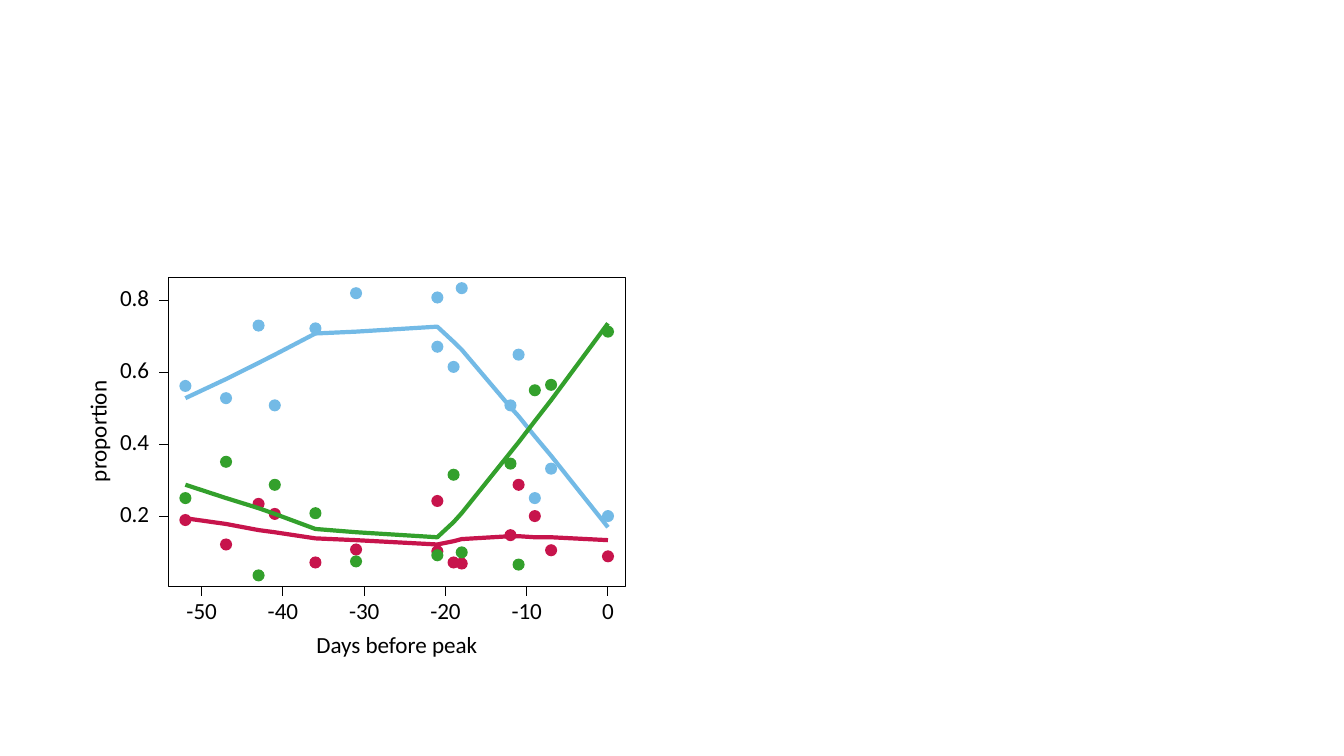
from dataclasses import dataclass
from typing import Optional

from lxml.etree import SubElement
from pptx import Presentation
from pptx.dml.color import RGBColor
from pptx.enum.shapes import MSO_CONNECTOR as Connector
from pptx.enum.shapes import MSO_SHAPE as Shape
from pptx.enum.text import MSO_ANCHOR as Anchor
from pptx.enum.text import PP_ALIGN as Align
from pptx.oxml.ns import qn
from pptx.util import Inches, Pt

COLORS = {"blue": "73BAE6", "red": "C7144C", "green": "33A02C", "ink": "000000"}
FONT, TEXT_SIZE = "Calibri", 16.5
DOT, TICK, THIN, THICK = 0.12, 0.09, 0.75, 3
SAMPLE_DAYS = [-52, -47, -43, -41, -36, -31, -21, -21, -19, -18, -12, -11, -9, -7, 0]
CURVE_DAYS = sorted(set(SAMPLE_DAYS))


@dataclass
class Box:
    left: float
    top: float
    width: float
    height: float

    @property
    def bottom(self) -> float:
        return self.top + self.height

    def inches(self) -> list[Inches]:
        return [Inches(v) for v in (self.left, self.top, self.width, self.height)]


@dataclass
class Scale:
    """Places values on the slide from two known ticks."""
    low: float
    low_at: float
    high: float
    high_at: float

    def at(self, value: float) -> float:
        share = (value - self.low) / (self.high - self.low)
        return self.low_at + share * (self.high_at - self.low_at)


@dataclass
class Group:
    """Proportions in percent, by day."""
    color: str
    samples: list[Optional[float]]
    curve: list[float]


PLOT = Box(1.67, 2.75, 4.53, 3.07)
DAYS = Scale(-50, 2, 0, 6.03)
PERCENT = Scale(20, 5.12, 80, 2.98)

GROUPS = [
    Group("blue",
          [56.2, 52.8, 73, 50.8, 72.2, 82, 67.1, 80.8, 61.5, 83.4, 50.8, 64.9, 25, 33.2, 20],
          [52.8, 58.1, 62.6, 64.9, 70.8, 71.3, 72.7, 68.5, 66.3, 50.3, 47.8, 42.2, 36.8, 16.9]),
    Group("red",
          [18.9, 12.1, 23.4, 20.6, 7.1, 10.7, 24.2, 10.2, 7.1, 6.8, 14.7, 28.7, 20, 10.5, 8.8],
          [19.4, 17.8, 16.1, 15.5, 13.8, 13.3, 12.1, 13, 13.6, 14.4, 14.4, 14.1, 14.1, 13.3]),
    Group("green",
          [25, 35.1, 3.5, 28.7, 20.8, 7.4, 9.1, None, 31.5, 9.9, 34.6, 6.5, 55, 56.5, 71.3],
          [28.7, 25, 22.2, 20.6, 16.4, 15.5, 14.1, 18.3, 20.8, 37.7, 40.5, 46.4, 52.2, 73.6]),
]


def rgb(name: str) -> RGBColor:
    return RGBColor.from_string(COLORS[name])


def add_line(s, x1: float, y1: float, x2: float, y2: float) -> None:
    line = s.shapes.add_connector(Connector.STRAIGHT, *map(Inches, (x1, y1, x2, y2)))
    line.line.color.rgb = rgb("ink")
    line.line.width = Pt(THIN)
    SubElement(line._element.spPr, qn("a:effectLst"))


def add_outline(s, points: list[tuple[float, float]], color: str, width: float,
                close: bool = False) -> None:
    emu = [(Inches(x), Inches(y)) for x, y in points]
    builder = s.shapes.build_freeform(*emu[0])
    builder.add_line_segments(emu[1:], close=close)
    sp = builder.convert_to_shape()
    sp.shadow.inherit = False
    sp.fill.background()
    sp.line.color.rgb = rgb(color)
    sp.line.width = Pt(width)


def add_dot(s, x: float, y: float, color: str) -> None:
    box = Box(x - DOT / 2, y - DOT / 2, DOT, DOT)
    sp = s.shapes.add_shape(Shape.OVAL, *box.inches())
    sp.shadow.inherit = False
    sp.fill.solid()
    sp.fill.fore_color.rgb = rgb(color)
    sp.line.fill.background()


def add_label(s, text: str, box: Box, turn: float = 0) -> None:
    sp = s.shapes.add_textbox(*box.inches())
    sp.rotation = turn
    tf = sp.text_frame
    tf.word_wrap = False
    tf.vertical_anchor = Anchor.MIDDLE
    tf.margin_left = tf.margin_right = tf.margin_top = tf.margin_bottom = 0
    p = tf.paragraphs[0]
    p.alignment = Align.CENTER
    p.line_spacing = Pt(TEXT_SIZE)
    r = p.add_run()
    r.text = text
    r.font.name, r.font.size = FONT, Pt(TEXT_SIZE)
    r.font.color.rgb = rgb("ink")


def add_axes(s) -> None:
    # Days along the bottom
    add_line(s, DAYS.at(-50), PLOT.bottom, DAYS.at(0), PLOT.bottom)
    for day in range(-50, 1, 10):
        x, text = DAYS.at(day), str(day)
        width = 0.1 * len(text) + 0.02
        add_line(s, x, PLOT.bottom, x, PLOT.bottom + TICK)
        add_label(s, text, Box(x - width / 2, 6, width, 0.15))

    # Proportions up the left side
    add_line(s, PLOT.left, PERCENT.at(20), PLOT.left, PERCENT.at(80))
    for percent in range(20, 81, 20):
        y = PERCENT.at(percent)
        add_line(s, PLOT.left, y, PLOT.left - TICK, y)
        add_label(s, f"{percent / 100:.1f}", Box(1.18, y - 0.08, 0.31, 0.15))

    # Plot frame and axis titles
    right = PLOT.left + PLOT.width
    add_outline(s, [(PLOT.left, PLOT.bottom), (right, PLOT.bottom),
                    (right, PLOT.top), (PLOT.left, PLOT.top)], "ink", THIN, close=True)
    add_label(s, "Days before peak", Box(3.11, 6.31, 1.65, 0.21))
    add_label(s, "proportion", Box(0.46, 4.19, 1.06, 0.18), turn=270)


def add_group(s, group: Group) -> None:
    for day, percent in zip(SAMPLE_DAYS, group.samples):
        if percent is not None:
            add_dot(s, DAYS.at(day), PERCENT.at(percent), group.color)
    curve = [(DAYS.at(d), PERCENT.at(v)) for d, v in zip(CURVE_DAYS, group.curve)]
    add_outline(s, curve, group.color, THICK)


def main() -> None:
    prs = Presentation()
    prs.slide_width, prs.slide_height = Inches(13.33), Inches(7.5)
    s = prs.slides.add_slide(prs.slide_layouts[6])
    add_axes(s)
    for group in GROUPS:
        add_group(s, group)
    prs.save("out.pptx")


if __name__ == "__main__":
    main()
